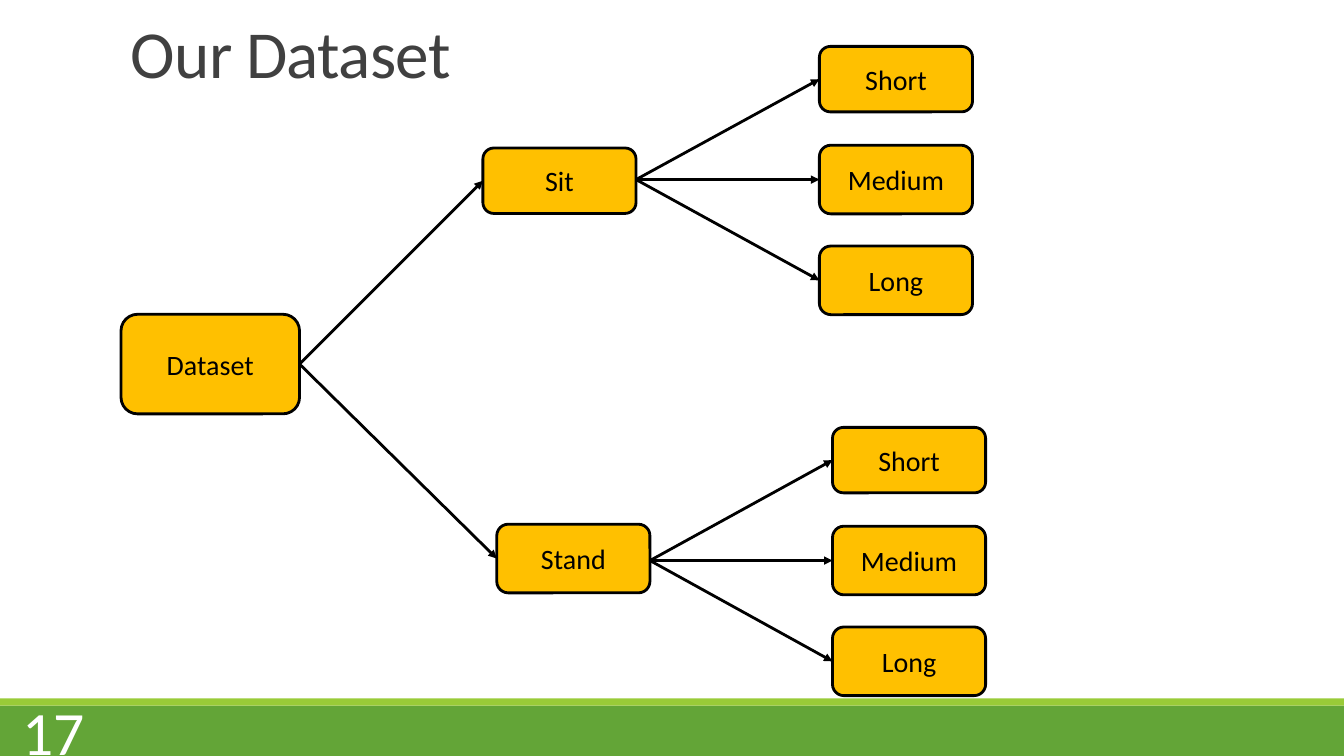
from lxml.etree import SubElement
from pptx import Presentation
from pptx.dml.color import RGBColor
from pptx.enum.shapes import MSO_CONNECTOR, MSO_SHAPE
from pptx.enum.text import MSO_ANCHOR, PP_ALIGN
from pptx.oxml.ns import qn
from pptx.util import Cm, Pt

GREEN = RGBColor(0x63, 0xA5, 0x37)
LIME = RGBColor(0x99, 0xCB, 0x38)
AMBER = RGBColor(0xFF, 0xC0, 0x00)
BLACK = RGBColor(0, 0, 0)
WHITE = RGBColor(0xFF, 0xFF, 0xFF)
GREY = RGBColor(0x40, 0x40, 0x40)

SLIDE_W, SLIDE_H = 33.87, 19.05
NODE_W = 3.86
# Leaf label, offset from the top of its column, height
LEAVES = [("Short", 0, 1.65), ("Medium", 2.49, 1.73), ("Long", 5.03, 1.73)]


def write(sp, text, size, color, align, anchor):
    tf = sp.text_frame
    tf.word_wrap = True
    tf.vertical_anchor = anchor
    p = tf.paragraphs[0]
    p.alignment = align
    r = p.add_run()
    r.text = text
    r.font.name = "Calibri"
    r.font.size = Pt(size)
    r.font.color.rgb = color
    return p, r


def add_bar(s, top, height, color):
    sp = s.shapes.add_shape(MSO_SHAPE.RECTANGLE, 0, Cm(top), Cm(SLIDE_W), Cm(height))
    sp.shadow.inherit = False
    sp.fill.solid()
    sp.fill.fore_color.rgb = color
    sp.line.fill.background()


def add_node(s, text, left, top, width, height):
    """Draw a labelled box; return the middles of its left and right sides."""
    sp = s.shapes.add_shape(MSO_SHAPE.ROUNDED_RECTANGLE,
                            Cm(left), Cm(top), Cm(width), Cm(height))
    sp.shadow.inherit = False
    sp.fill.solid()
    sp.fill.fore_color.rgb = AMBER
    sp.line.color.rgb = BLACK
    sp.line.width = Pt(2)
    write(sp, text, 20, BLACK, PP_ALIGN.CENTER, MSO_ANCHOR.MIDDLE)
    middle = top + height / 2
    return (left, middle), (left + width, middle)


def add_arrow(s, start, end):
    cn = s.shapes.add_connector(MSO_CONNECTOR.STRAIGHT, *map(Cm, start + end))
    cn.line.color.rgb = BLACK
    cn.line.width = Pt(2)
    SubElement(cn.line._get_or_add_ln(), qn("a:tailEnd"), type="triangle")
    SubElement(cn._element.spPr, qn("a:effectLst"))


def add_title(s, left, top, width, height):
    sp = s.shapes.add_textbox(Cm(left), Cm(top), Cm(width), Cm(height))
    p, r = write(sp, "Our Dataset", 48, GREY, PP_ALIGN.LEFT, MSO_ANCHOR.BOTTOM)
    p.line_spacing = 0.85
    r._r.get_or_add_rPr().set("spc", "-50")


def add_footer(s, top, strip):
    add_bar(s, top + strip, SLIDE_H - top - strip, GREEN)
    add_bar(s, top, strip, LIME)
    sp = s.shapes.add_textbox(Cm(-1.24), Cm(top + 0.31), Cm(3.63), Cm(1.02))
    write(sp, "17", 44, WHITE, PP_ALIGN.RIGHT, MSO_ANCHOR.MIDDLE)


def add_branch(s, root, text, left, top, height, leaf_left, leaf_top):
    """Draw a posture node, its arrow from the root and its three leaves."""
    entry, (right, _) = add_node(s, text, left, top, NODE_W, height)
    add_arrow(s, root, entry)
    ends = [add_node(s, label, leaf_left, leaf_top + dy, NODE_W, h)[0]
            for label, dy, h in LEAVES]
    fork = (right, ends[1][1])  # level with the middle leaf
    for end in ends:
        add_arrow(s, fork, end)


def add_tree(s, left, top):
    _, root = add_node(s, "Dataset", left, top, 4.5, 2.51)
    add_branch(s, root, "Sit", left + 9.12, top - 4.19, 1.65, left + 17.6, top - 6.75)
    add_branch(s, root, "Stand", left + 9.47, top + 5.29, 1.73, left + 17.93, top + 2.85)


def main():
    prs = Presentation()
    prs.slide_width, prs.slide_height = Cm(SLIDE_W), Cm(SLIDE_H)
    s = prs.slides.add_slide(prs.slide_layouts[6])
    add_footer(s, 17.6, 0.18)
    add_title(s, 3.05, 0.28, 27.94, 2.18)
    add_tree(s, 3.05, 7.92)
    prs.save("out.pptx")


if __name__ == "__main__":
    main()
